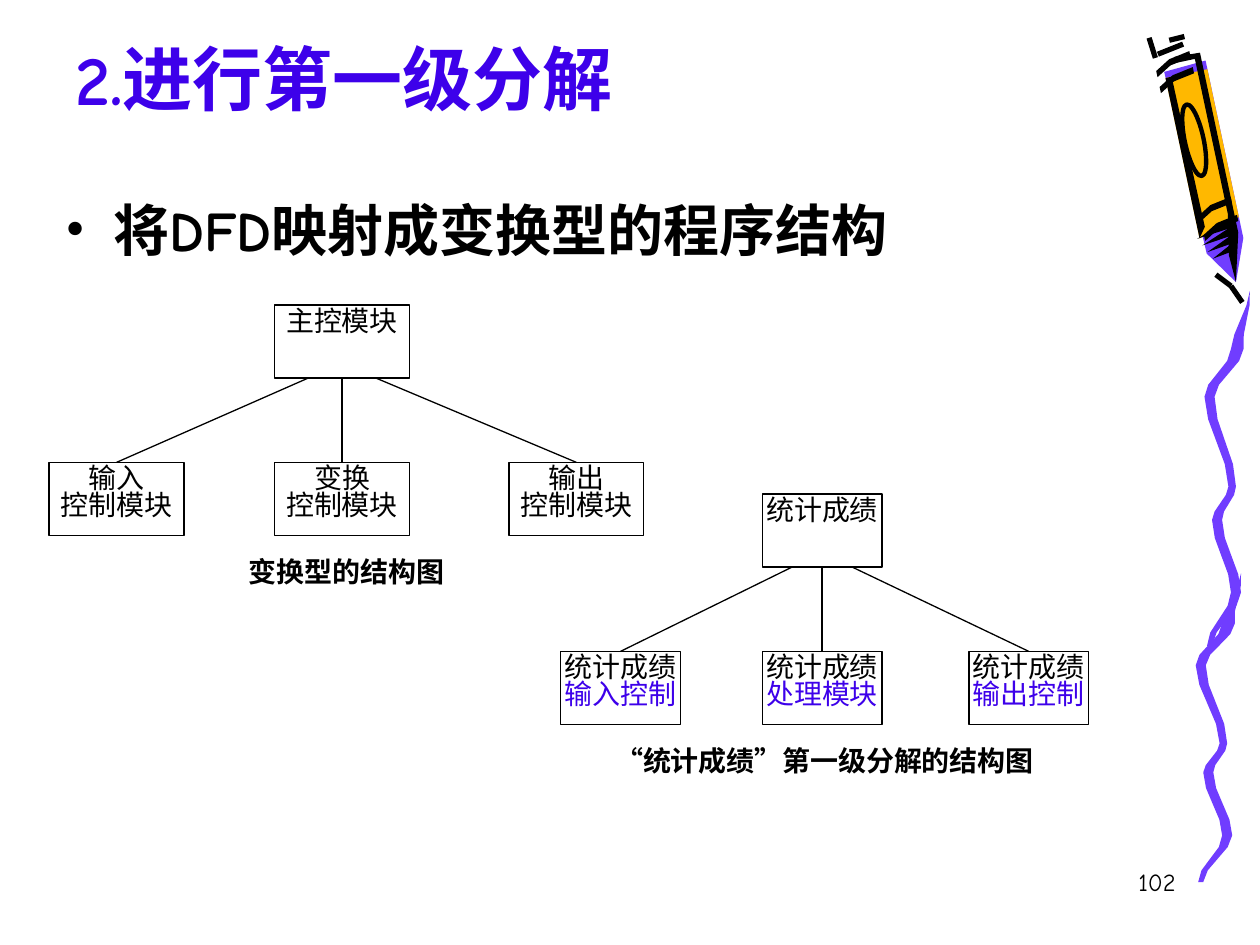
from math import atan2, cos, degrees, pi, sin

from lxml.etree import SubElement
from pptx import Presentation
from pptx.dml.color import RGBColor
from pptx.enum.shapes import MSO_CONNECTOR, MSO_SHAPE
from pptx.enum.text import MSO_ANCHOR, PP_ALIGN
from pptx.oxml.ns import qn
from pptx.util import Inches, Pt

COLORS = {
    "black": "000000",
    "blue": "3D00EA",
    "purple": "703DFF",
    "orange": "FFB800",
}
TITLE_FONT = "Comic Neue"
DIAGRAM_FONT = "Times New Roman"


def rgb(name):
    return RGBColor.from_string(COLORS[name])


def write_text(frame, lines, *, size, font=DIAGRAM_FONT, colors=("black",), bold=False,
               align=PP_ALIGN.LEFT, anchor=MSO_ANCHOR.TOP, spacing=1.0,
               insets=(0.1, 0.05), bullet=None):
    frame.word_wrap = True
    frame.vertical_anchor = anchor
    frame.margin_left = frame.margin_right = Inches(insets[0])
    frame.margin_top = frame.margin_bottom = Inches(insets[1])
    for index, line in enumerate(lines):
        paragraph = frame.add_paragraph() if index else frame.paragraphs[0]
        paragraph.alignment = align
        paragraph.line_spacing = spacing
        if bullet:
            properties = paragraph._p.get_or_add_pPr()
            properties.set("marL", str(Inches(0.38)))
            properties.set("indent", str(Inches(-0.38)))
            SubElement(properties, qn("a:buFont")).set("typeface", DIAGRAM_FONT)
            SubElement(properties, qn("a:buChar")).set("char", bullet)
        run = paragraph.add_run()
        run.text = line
        run.font.size = Pt(size)
        run.font.name = font
        run.font.bold = bold
        run.font.color.rgb = rgb(colors[min(index, len(colors) - 1)])


class SlideBuilder:
    def __init__(self, slide):
        self.slide = slide
        self.line_width = 0.75
        self.box_height = 0.58

    def text(self, left, top, width, height, line, **style):
        box = self.slide.shapes.add_textbox(
            Inches(left), Inches(top), Inches(width), Inches(height))
        write_text(box.text_frame, [line], **style)

    def polygon(self, points, color):
        corners = [(Inches(x), Inches(y)) for x, y in points]
        builder = self.slide.shapes.build_freeform(*corners[0])
        builder.add_line_segments(corners[1:], close=True)
        shape = builder.convert_to_shape()
        shape.shadow.inherit = False
        shape.fill.solid()
        shape.fill.fore_color.rgb = rgb(color)
        shape.line.fill.background()

    def outlined(self, kind, left, top, width, height, line_width=None):
        shape = self.slide.shapes.add_shape(
            kind, Inches(left), Inches(top), Inches(width), Inches(height))
        shape.shadow.inherit = False
        shape.fill.background()
        shape.line.color.rgb = rgb("black")
        shape.line.width = Pt(line_width or self.line_width)
        return shape

    def module(self, left, top, width, lines, colors):
        shape = self.outlined(MSO_SHAPE.RECTANGLE, left, top, width, self.box_height)
        write_text(shape.text_frame, lines, size=16, colors=colors,
                   align=PP_ALIGN.CENTER, spacing=0.8, insets=(0.02, 0.04))
        return shape

    def line(self, start, end, width=None):
        connector = self.slide.shapes.add_connector(
            MSO_CONNECTOR.STRAIGHT, *(Inches(value) for value in start + end))
        connector.line.color.rgb = rgb("black")
        connector.line.width = Pt(width or self.line_width)
        SubElement(connector._element.spPr, qn("a:effectLst"))
        return connector

    def tree(self, top, width, root, children, colors=("black",)):
        root_left, root_text = root
        root_shape = self.module(root_left, top, width, [root_text], colors)
        child_top = top + 1.25
        for position, (left, lines) in enumerate(children, start=-1):
            child = self.module(left, child_top, width, lines, colors)
            start = (root_left + width / 2 + position * width / 4, top + self.box_height)
            connector = self.line(start, (left + width / 2, child_top))
            if position == 0:
                connector.begin_connect(root_shape, 2)
            connector.end_connect(child, 0)

    def ribbon(self, left, top, stretch):
        turns = [(0.36, 0, 0), (0.26, 0.4, 0.05), (0.04, 0.73, 0.04), (0.22, 1.35, 0.03),
                 (0.1, 1.58, 0.04), (0.25, 2.08, 0.04), (0.04, 2.45, 0.02)]
        steps = 4
        left_edge, right_edge = [], []
        for (x1, y1, half1), (x2, y2, half2) in zip(turns, turns[1:]):
            for step in range(steps + 1):
                share = step / steps
                ease = (1 - cos(pi * share)) / 2
                x = left + x1 + (x2 - x1) * ease
                y = top + stretch * (y1 + (y2 - y1) * share)
                half = half1 + (half2 - half1) * share
                left_edge.append((x - half, y))
                right_edge.append((x + half, y))
        self.polygon(left_edge + right_edge[::-1], "purple")

    def crayon(self, left, top, length, width):
        tilt = atan2(0.27, 1.27)

        def place(along, across):
            return (left + along * sin(tilt) + across * cos(tilt),
                    top + along * cos(tilt) - across * sin(tilt))

        def part(color, *points):
            self.polygon([place(*point) for point in points], color)

        tip = (length + 0.45, 0.21)
        part("purple", (-0.05, 0), (length + 0.18, 0.03), tip,
             (length + 0.12, width), (-0.07, width))
        part("orange", (0, 0), (length + 0.05, 0), (length - 0.05, width), (0, width))
        part("black", (0, 0), (length + 0.05, 0), (length - 0.03, 0.06), (0, 0.05))
        part("black", (-0.07, -0.03), (-0.15, 0.11), (-0.14, 0.31), (1.32, 0.31),
             tip, (1.48, 0.2), (1.16, 0.26), (-0.1, 0.26), (-0.1, 0.09))

        for along, across in [(-0.02, -0.06), (0.11, -0.06), (1.18, 0.02), (1.33, 0.04)]:
            upper = [(-0.05, 0), (-0.12, 0.12), (-0.15, 0.29)]
            lower = [(-0.1, 0.29), (-0.07, 0.12), (0, 0)]
            part("black", *((along + u, across + v) for u, v in upper + lower))
        for stroke in range(4):
            along = 1.3 + 0.06 * stroke
            part("black", (along, -0.02 + 0.03 * stroke),
                 (along - 0.1, 0.27), (along - 0.03, 0.27))

        label_width, label_length = 0.15, 0.58
        x, y = place(0.53, 0.12)
        label = self.outlined(MSO_SHAPE.OVAL, x - label_width / 2, y - label_length / 2,
                              label_width, label_length, line_width=2.5)
        label.rotation = -degrees(tilt)

    def brush_strokes(self):
        lead = [(9.65, 2.18), (9.77, 2.27), (9.86, 2.4)]
        sparks = [((9.12, 0.3), (9.17, 0.46)), ((9.19, 0.43), (9.39, 0.35)),
                  ((9.28, 0.32), (9.4, 0.29))]
        for start, end in sparks + list(zip(lead, lead[1:])):
            self.line(start, end, width=3)


def main():
    presentation = Presentation()
    presentation.slide_width = Inches(10)
    presentation.slide_height = Inches(7.5)
    builder = SlideBuilder(presentation.slides.add_slide(presentation.slide_layouts[6]))

    builder.ribbon(left=9.49, top=4.55, stretch=1)
    builder.ribbon(left=9.56, top=2.31, stretch=1.15)
    builder.crayon(left=9.25, top=0.62, length=1.25, width=0.34)
    builder.brush_strokes()

    builder.text(7.35, 6.83, 2.08, 0.5, "102", size=14, font=TITLE_FONT,
                 align=PP_ALIGN.RIGHT)
    builder.text(0.5, 0.17, 9, 0.83, "2.进行第一级分解", size=40, font=TITLE_FONT,
                 colors=("blue",), bold=True, anchor=MSO_ANCHOR.BOTTOM)
    builder.text(0.42, 1.5, 8.67, 0.83, "将DFD映射成变换型的程序结构", size=32,
                 font=TITLE_FONT, bold=True, bullet="•")

    caption_style = {"size": 16, "bold": True, "align": PP_ALIGN.CENTER, "spacing": 0.8}
    builder.text(0.25, 4.4, 5, 0.52, "变换型的结构图", **caption_style)
    builder.tree(2.42, 1.07, (2.18, "主控模块"), [
        (0.39, ["输入", "控制模块"]),
        (2.18, ["变换", "控制模块"]),
        (4.04, ["输出", "控制模块"]),
    ])
    builder.text(4.33, 5.9, 4.43, 0.52, "“统计成绩”第一级分解的结构图", **caption_style)
    builder.tree(3.92, 0.95, (6.05, "统计成绩"), [
        (4.45, ["统计成绩", "输入控制"]),
        (6.05, ["统计成绩", "处理模块"]),
        (7.69, ["统计成绩", "输出控制"]),
    ], colors=("black", "blue"))

    presentation.save("out.pptx")


if __name__ == "__main__":
    main()
